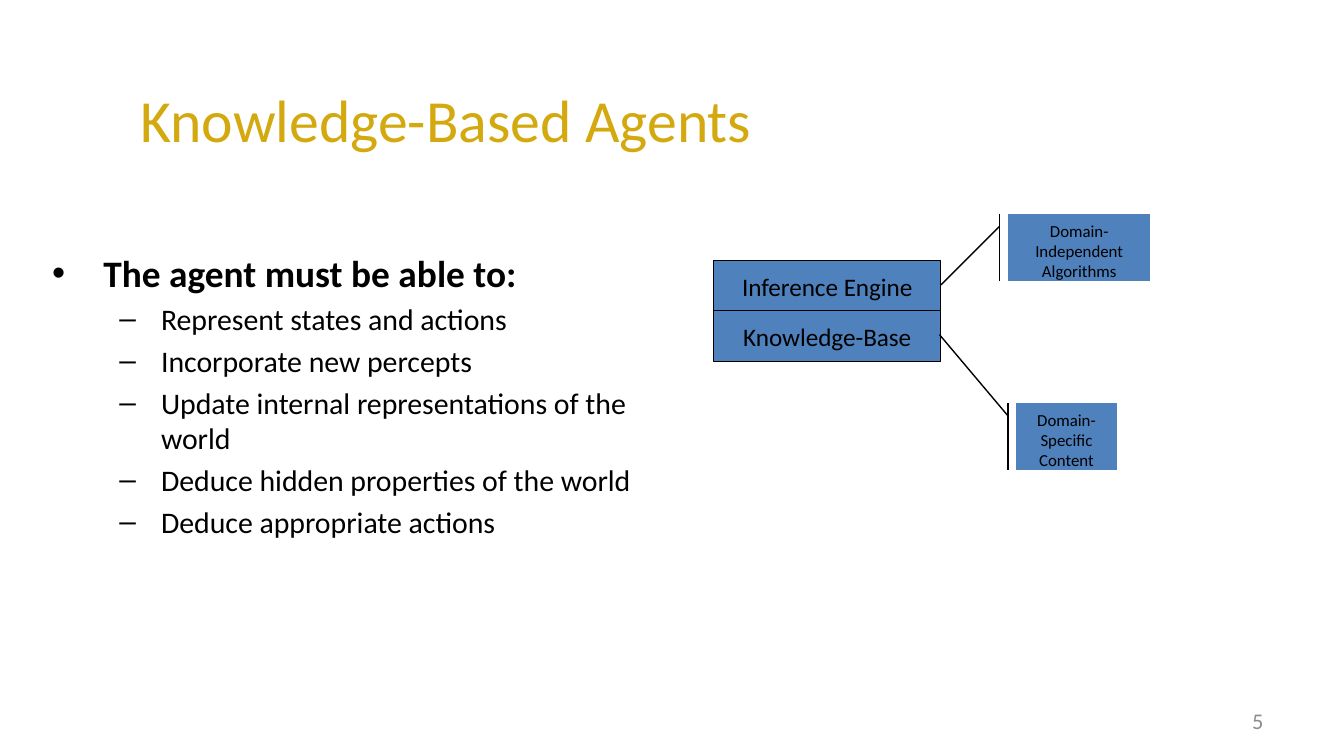
from lxml import etree
from pptx import Presentation
from pptx import util as u
from pptx.dml.color import RGBColor
from pptx.enum import shapes, text
from pptx.oxml.ns import qn

# Widescreen slide, 16:9
presentation = Presentation()
presentation.slide_width = u.Inches(10)
presentation.slide_height = u.Inches(10 * 9 / 16)
slide = presentation.slides.add_slide(presentation.slide_layouts[6])
SHAPE, ALIGN, ANCHOR = shapes.MSO_SHAPE, text.PP_ALIGN, text.MSO_ANCHOR


def color(value):
    return RGBColor.from_string(value)


def write(shape, content, size, ink="000000", align=ALIGN.CENTER,
          anchor=ANCHOR.MIDDLE, wrap=True):
    frame = shape.text_frame
    frame.text = content
    frame.word_wrap = wrap
    frame.vertical_anchor = anchor
    for paragraph in frame.paragraphs:
        paragraph.alignment = align
        for run in paragraph.runs:
            run.font.name = "Calibri"
            run.font.size = u.Pt(size)
            run.font.color.rgb = color(ink)


# Title, page number and body text
for content, box, size, ink, align, anchor in [
    ("5", (7.17, 5.21, 2.33, 0.3), 12, "8C8C8C", ALIGN.RIGHT, ANCHOR.MIDDLE),
    ("Knowledge-Based Agents", (-1.18, 0.41, 9, 0.94), 32, "D3A90F",
     ALIGN.CENTER, ANCHOR.MIDDLE),
    ("The agent must be able to:\n"
     "Represent states and actions\n"
     "Incorporate new percepts\n"
     "Update internal representations of the world\n"
     "Deduce hidden properties of the world\n"
     "Deduce appropriate actions",
     (0.29, 1.81, 4.88, 3.71), 16, "000000", ALIGN.LEFT, ANCHOR.TOP),
]:
    body = slide.shapes.add_textbox(*map(u.Inches, box))
    write(body, content, size, ink, align, anchor)

# Bullets: a bold heading, then dashed items one level down
for index, paragraph in enumerate(body.text_frame.paragraphs):
    heading = index == 0
    size = 20 if heading else 16
    margin, indent, mark = (0.38, -0.38, "•") if heading else (0.81, -0.31, "–")
    paragraph.level = 0 if heading else 1
    paragraph.space_before = u.Pt(size * 0.2)
    paragraph.runs[0].font.size = u.Pt(size)
    paragraph.runs[0].font.bold = heading
    properties = paragraph._p.get_or_add_pPr()
    properties.set("marL", str(u.Inches(margin)))
    properties.set("indent", str(u.Inches(indent)))
    etree.SubElement(properties, qn("a:buFont")).set("typeface", "Arial")
    etree.SubElement(properties, qn("a:buChar")).set("char", mark)

# Agent layers and the callouts that explain them
BAR = SHAPE.LINE_CALLOUT_1_ACCENT_BAR
for kind, content, box, adjustments in [
    (SHAPE.RECTANGLE, "Inference Engine", (5.31, 1.94, 1.69, 0.38), ()),
    (SHAPE.RECTANGLE, "Knowledge-Base", (5.31, 2.31, 1.69, 0.38), ()),
    (BAR, "Domain-Independent Algorithms", (7.5, 1.59, 1.06, 0.5),
     (0.19, -0.06, 1.06, -0.47)),
    (BAR, "Domain-Specific Content", (7.56, 3, 0.75, 0.5),
     (0.19, -0.08, -1.02, -0.76)),
]:
    shape = slide.shapes.add_shape(kind, *map(u.Inches, box))
    shape.shadow.inherit = False
    shape.fill.solid()
    shape.fill.fore_color.rgb = color("4F81BD")
    shape.line.color.rgb = color("000000")
    shape.line.width = u.Pt(0.75)
    for index, value in enumerate(adjustments):
        shape.adjustments[index] = value
    if kind == BAR:
        write(shape, content, 9, anchor=ANCHOR.TOP)
    else:
        write(shape, content, 13.5, wrap=False)

presentation.save("out.pptx")
